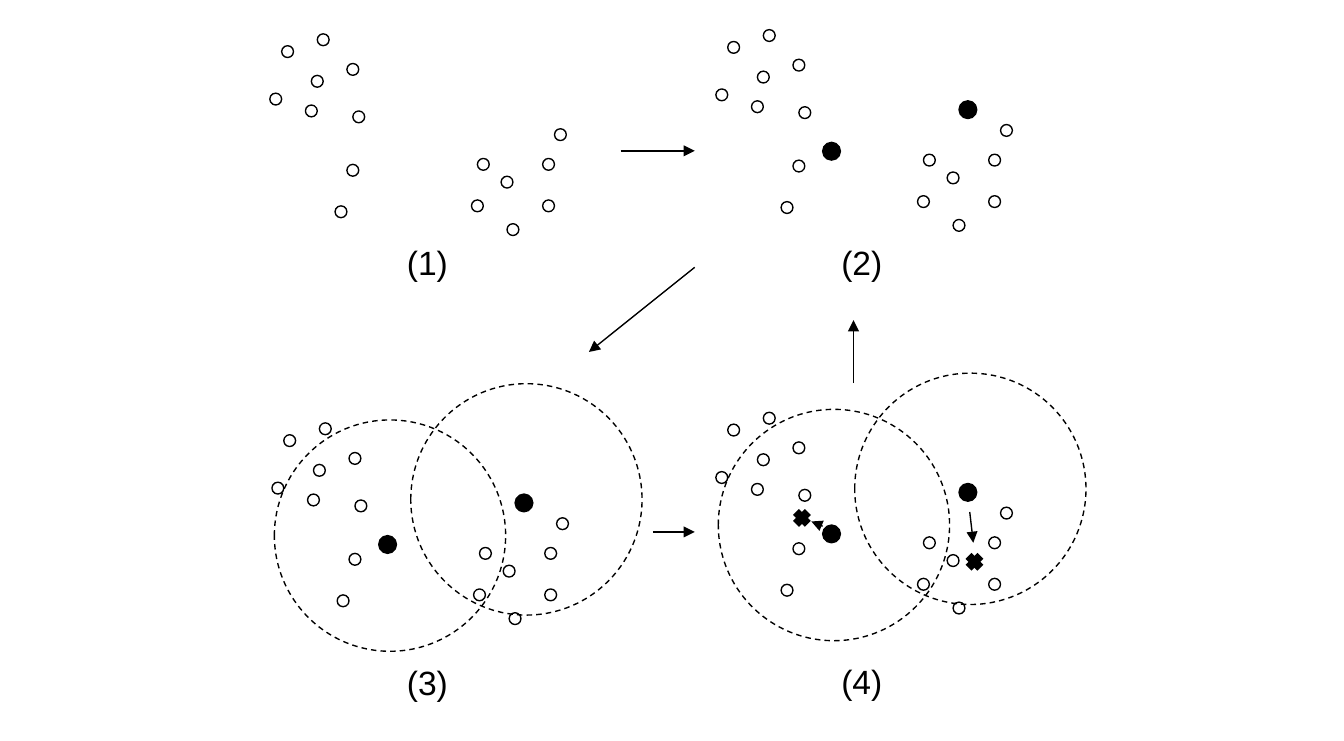
from lxml import etree
from pptx import Presentation
from pptx.dml.color import RGBColor
from pptx.enum.dml import MSO_LINE
from pptx.enum.shapes import MSO_CONNECTOR, MSO_SHAPE
from pptx.enum.text import MSO_AUTO_SIZE, PP_ALIGN
from pptx.oxml.ns import qn
from pptx.util import Cm, Pt

BLACK = RGBColor(0x00, 0x00, 0x00)
WHITE = RGBColor(0xFF, 0xFF, 0xFF)

# Positions inside a panel, in steps of 1/48 of the panel width
STEPS = 48
POINT_SIZE, CENTROID_SIZE, REACH_SIZE = 2, 3, 39
POINTS = [
    (2, 2), (7, 7), (0, 10), (6, 12), (8, 0), (13, 5), (14, 13), (13, 22),
    (11, 29), (39, 24), (34, 28), (35, 21), (46, 21), (46, 28), (48, 16),
    (40, 32),
]
CENTROIDS = [(18, 19), (41, 12)]
REACHES = [(0.4, -0.5), (23.4, -6.6)]
MOVES = [((42.8, 16.8), (43.4, 22)), ((18, 19.2), (16.1, 18.4))]
NEW_CENTROIDS = [(14.5, 17.8), (43.6, 25.2)]

LABEL_FORMAT = {"name": "Arial", "size": Pt(18)}

# Label, panel box (left, top, width, height), label left, stage of clustering
PANELS = [
    ("(1)", (5.1, 0.64, 5.38, 3.81), 7.44, 1),
    ("(2)", (13.53, 0.56, 5.38, 3.89), 15.65, 2),
    ("(3)", (5.14, 7.99, 5.38, 4.4), 7.44, 3),
    ("(4)", (13.53, 7.79, 5.38, 4.58), 15.65, 4),
]
FLOW = [
    ((11.73, 2.85), (13.13, 2.85)),
    ((13.13, 5.05), (11.13, 6.65)),
    ((12.34, 10.05), (13.13, 10.05)),
    ((16.13, 7.24), (16.13, 6.05)),
]


def add_circle(shapes, left, top, size, fill=None, dash=None):
    circle = shapes.add_shape(MSO_SHAPE.OVAL, Cm(left), Cm(top), Cm(size), Cm(size))
    circle.shadow.inherit = False
    if fill is None:
        circle.fill.background()
    else:
        circle.fill.solid()
        circle.fill.fore_color.rgb = fill
    circle.line.color.rgb = BLACK
    circle.line.width = Pt(0.75)
    if dash is not None:
        circle.line.dash_style = dash


def add_stroke(shapes, start, end, width=0.75, arrow=True):
    stroke = shapes.add_connector(
        MSO_CONNECTOR.STRAIGHT, *[Cm(value) for value in (*start, *end)])
    stroke.line.color.rgb = BLACK
    stroke.line.width = Pt(width)
    if arrow:
        etree.SubElement(stroke.line._get_or_add_ln(), qn("a:tailEnd"), type="triangle")
    etree.SubElement(stroke._element.spPr, qn("a:effectLst"))


def add_cross(slide, center, arm):
    x, y = center
    strokes = slide.shapes.add_group_shape().shapes
    for side in (arm, -arm):
        add_stroke(strokes, (x + side, y - arm), (x - side, y + arm), 4.5, arrow=False)


def add_label(slide, text, left, top):
    label = slide.shapes.add_textbox(Cm(left), Cm(top), Cm(1.35), Cm(1.02))
    frame = label.text_frame
    frame.word_wrap = False
    frame.auto_size = MSO_AUTO_SIZE.SHAPE_TO_FIT_TEXT
    paragraph = frame.paragraphs[0]
    paragraph.alignment = PP_ALIGN.LEFT
    run = paragraph.add_run()
    run.text = text
    for name, value in LABEL_FORMAT.items():
        setattr(run.font, name, value)
    run.font.color.rgb = BLACK


def add_panel(slide, text, box, label_left, stage):
    left, top, width, height = box
    step = width / STEPS
    shapes = slide.shapes

    def place(spot):
        return left + spot[0] * step, top + spot[1] * step

    # Data points
    for point in POINTS:
        add_circle(shapes, *place(point), POINT_SIZE * step, WHITE)
    # Centroids
    if stage >= 2:
        for centroid in CENTROIDS:
            add_circle(shapes, *place(centroid), CENTROID_SIZE * step, BLACK)
    # Reach of each centroid
    if stage >= 3:
        for reach in REACHES:
            add_circle(shapes, *place(reach), REACH_SIZE * step, dash=MSO_LINE.DASH)
    # Shift to the new centroids
    if stage >= 4:
        for start, end in MOVES:
            add_stroke(shapes, place(start), place(end))
        for center in NEW_CENTROIDS:
            add_cross(slide, place(center), step)
    add_label(slide, text, label_left, top + height)


def main():
    deck = Presentation()
    deck.slide_width, deck.slide_height = Cm(25.4), Cm(14)
    slide = deck.slides.add_slide(deck.slide_layouts[6])
    for panel in PANELS:
        add_panel(slide, *panel)
    # Arrows between the panels
    for start, end in FLOW:
        add_stroke(slide.shapes, start, end)
    deck.save("out.pptx")


if __name__ == "__main__":
    main()
